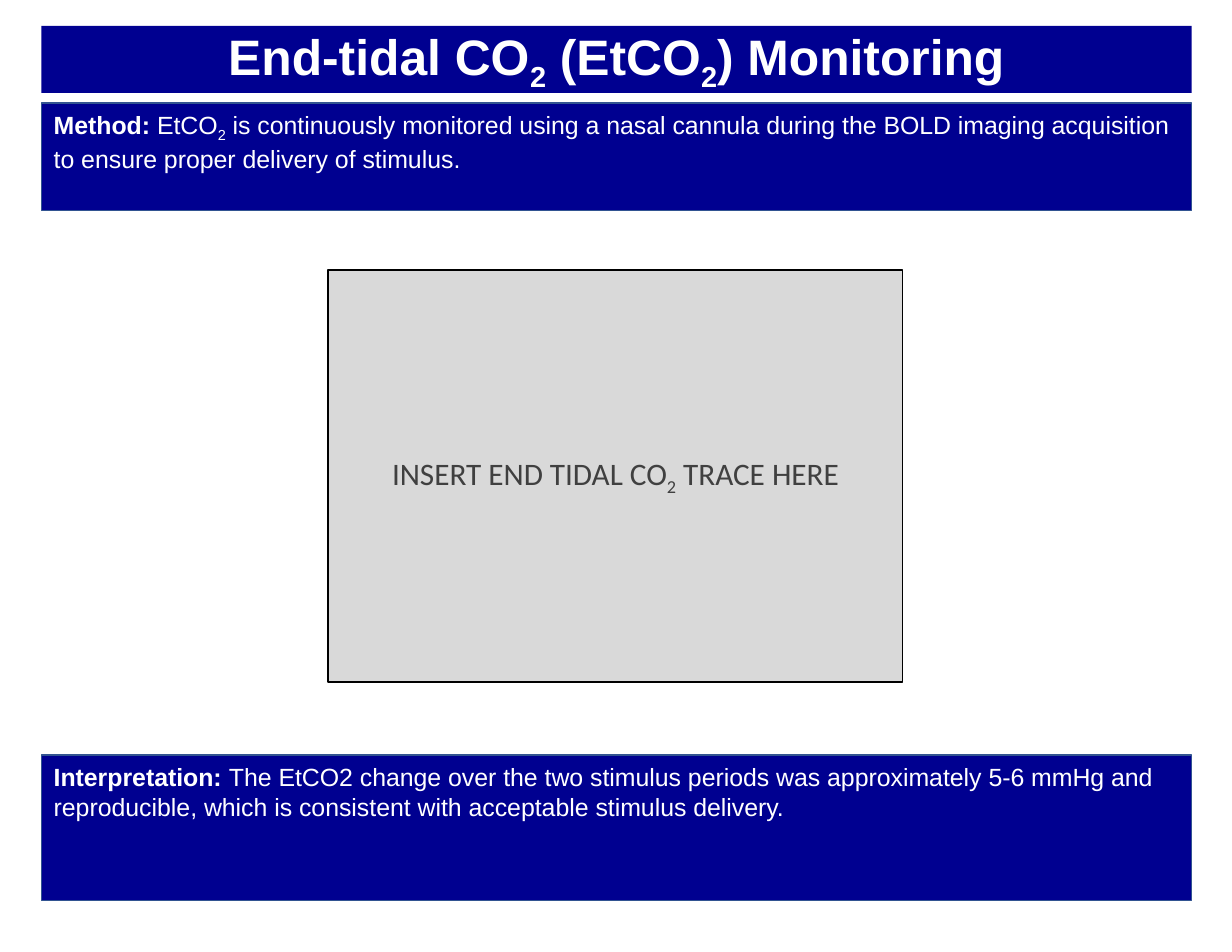
"""Build the end-tidal CO₂ monitoring slide."""
from dataclasses import dataclass

from pptx import Presentation
from pptx.dml.color import RGBColor
from pptx.enum.shapes import MSO_SHAPE
from pptx.enum.text import MSO_ANCHOR, MSO_AUTO_SIZE, PP_ALIGN
from pptx.util import Inches, Pt

RECT = MSO_SHAPE.RECTANGLE
TOP, MIDDLE = MSO_ANCHOR.TOP, MSO_ANCHOR.MIDDLE
LEFT, CENTER = PP_ALIGN.LEFT, PP_ALIGN.CENTER
NO_FIT = MSO_AUTO_SIZE.NONE

NAVY = RGBColor(0x00, 0x00, 0x90)
BLUE = RGBColor(0x32, 0x54, 0x91)
WHITE = RGBColor(0xFF, 0xFF, 0xFF)
BLACK = RGBColor(0x00, 0x00, 0x00)
SILVER = RGBColor(0xD9, 0xD9, 0xD9)
GRAY = RGBColor(0x40, 0x40, 0x40)

EDGE, WIDTH = 0.37, 10.27


@dataclass(frozen=True)
class Piece:
    text: str
    bold: bool = False
    sub: bool = False


@dataclass(frozen=True)
class Style:
    fill: RGBColor
    line: RGBColor | None
    color: RGBColor
    font: str
    size: float
    align: PP_ALIGN
    anchor: MSO_ANCHOR
    inset: tuple[float, float] = (0.1, 0.05)


@dataclass(frozen=True)
class Box:
    left: float
    top: float
    width: float
    height: float
    style: Style
    words: tuple[Piece, ...]


HEAD = Style(NAVY, None, WHITE, "Arial", 32, CENTER, MIDDLE)
NOTE = Style(NAVY, BLUE, WHITE, "Arial", 16, LEFT, TOP, (0.11, 0.06))
TRACE = Style(SILVER, BLACK, GRAY, "Calibri", 20.1, CENTER, MIDDLE)

TITLE = Box(EDGE, 0.23, WIDTH, 0.6, HEAD, (
    Piece("End-tidal CO", True), Piece("2", True, True),
    Piece(" (EtCO", True), Piece("2", True, True),
    Piece(") Monitoring", True),
))
BOXES = (
    Box(2.93, 2.41, 5.13, 3.68, TRACE, (
        Piece("INSERT END TIDAL CO"), Piece("2", sub=True),
        Piece(" TRACE HERE"),
    )),
    Box(EDGE, 6.74, WIDTH, 1.3, NOTE, (
        Piece("Interpretation: ", True),
        Piece("The EtCO2 change over the two stimulus periods was approximately "
              "5-6 mmHg and reproducible, which is consistent with acceptable "
              "stimulus delivery."),
    )),
    Box(EDGE, 0.92, WIDTH, 0.96, NOTE, (
        Piece("Method: ", True), Piece("EtCO"), Piece("2", sub=True),
        Piece(" is continuously monitored using a nasal cannula during the BOLD "
              "imaging acquisition to ensure proper delivery of stimulus."),
    )),
)


def write(shape, box: Box) -> None:
    """Fill the shape's text frame with the box's styled words."""
    style, frame = box.style, shape.text_frame
    frame.word_wrap = True
    frame.auto_size = NO_FIT
    frame.vertical_anchor = style.anchor
    side, end = map(Inches, style.inset)
    frame.margin_left = frame.margin_right = side
    frame.margin_top = frame.margin_bottom = end
    para = frame.paragraphs[0]
    para.alignment = style.align
    para.font.name = style.font
    para.font.size = Pt(style.size)
    para.font.color.rgb = style.color
    for piece in box.words:
        run = para.add_run()
        run.text = piece.text
        run.font.bold = piece.bold
        if piece.sub:
            run.font._element.set("baseline", "-25000")


def dress(shape, box: Box) -> None:
    """Paint the shape and write its text."""
    shape.fill.solid()
    shape.fill.fore_color.rgb = box.style.fill
    if box.style.line is None:
        shape.line.fill.background()
    else:
        shape.line.color.rgb = box.style.line
        shape.line.width = Pt(1)
    write(shape, box)


def place(box: Box) -> tuple[int, ...]:
    """Give the box's bounds as lengths."""
    return tuple(map(Inches, (box.left, box.top, box.width, box.height)))


def main() -> None:
    """Draw the slide and save it."""
    deck = Presentation()
    deck.slide_width, deck.slide_height = Inches(11), Inches(8.5)
    slide = deck.slides.add_slide(deck.slide_layouts[5])
    title = slide.shapes.title
    title.left, title.top, title.width, title.height = place(TITLE)
    dress(title, TITLE)
    for box in BOXES:
        shape = slide.shapes.add_shape(RECT, *place(box))
        shape.shadow.inherit = False
        dress(shape, box)
    deck.save("out.pptx")


if __name__ == "__main__":
    main()
